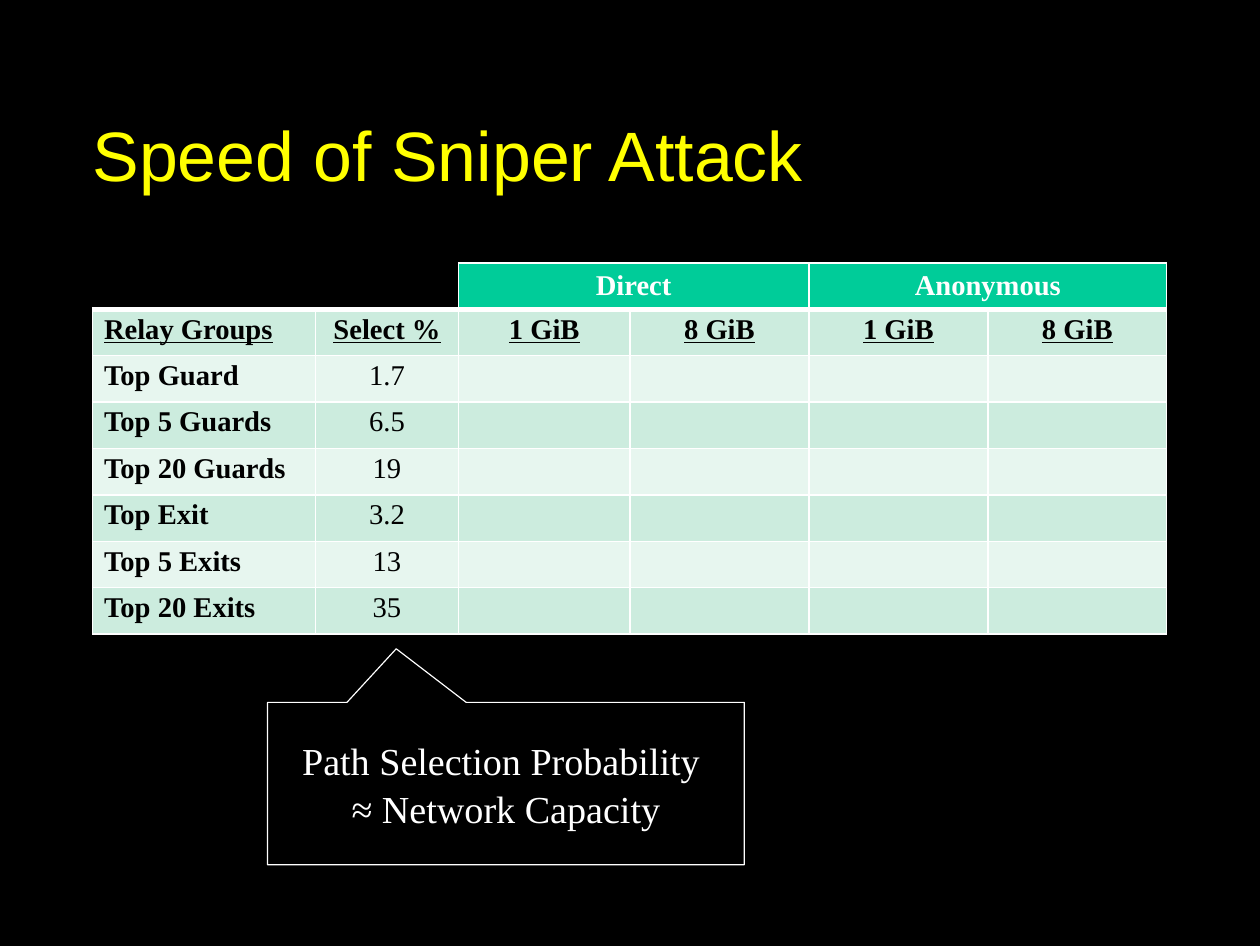
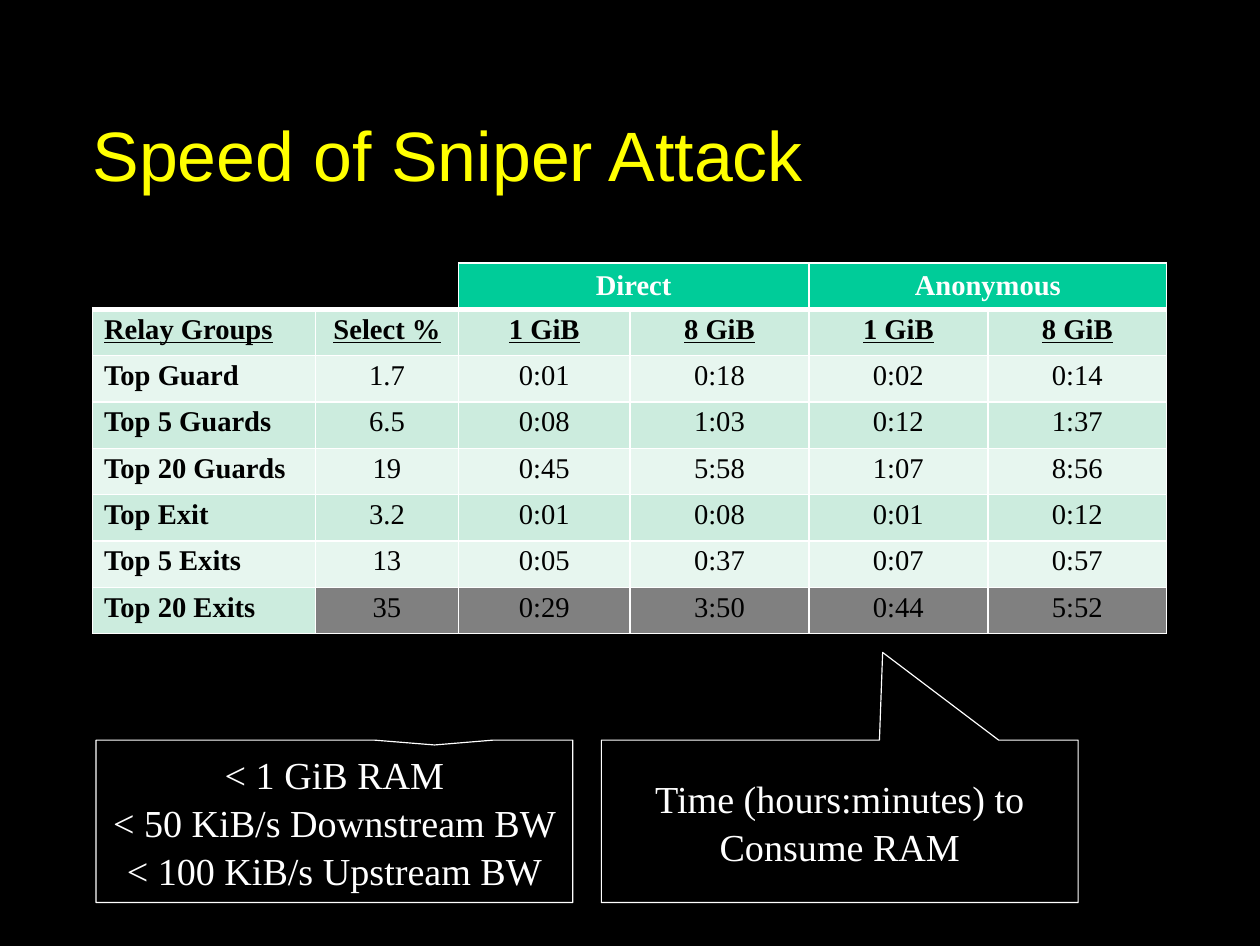
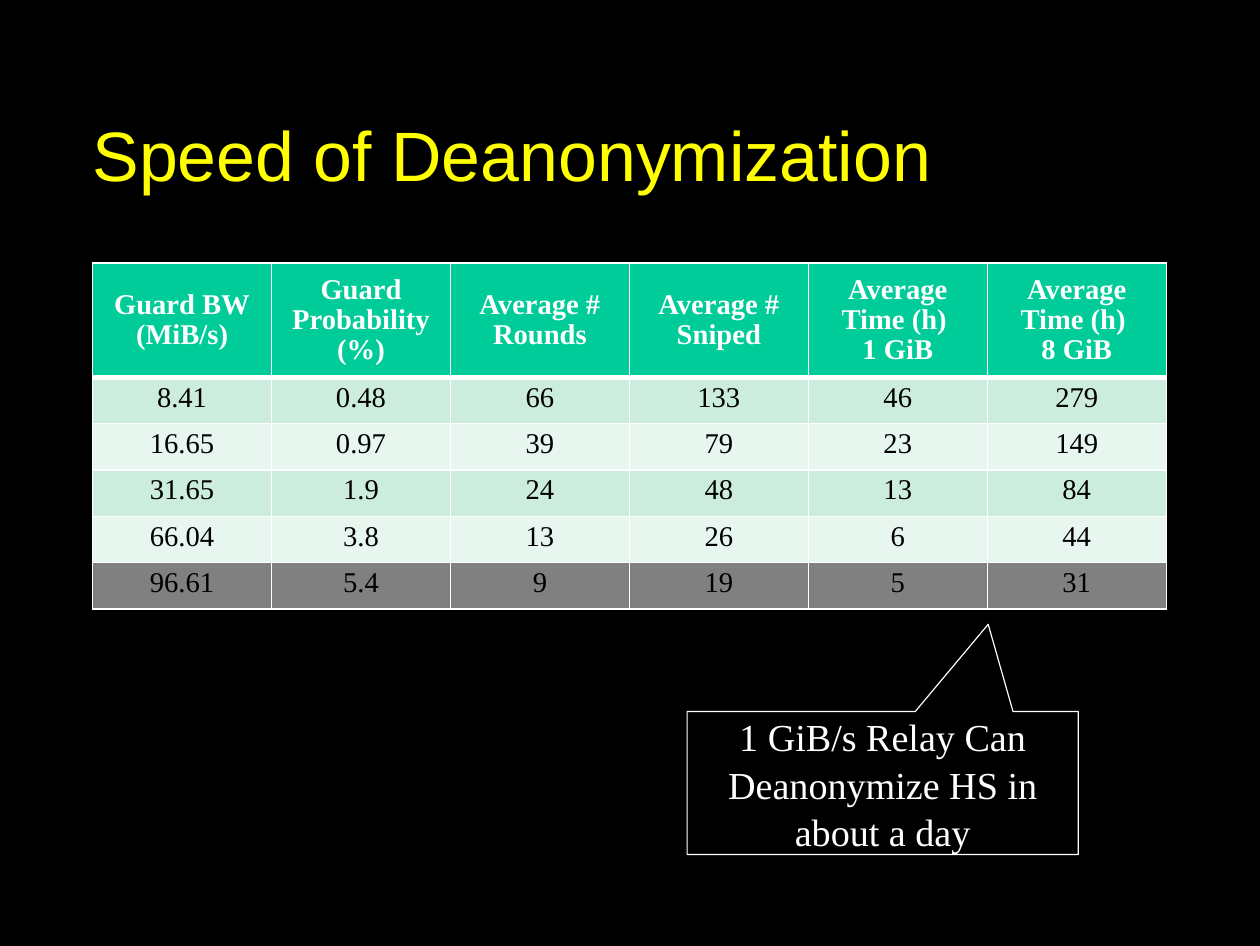
"""Build three slides on the speed of the sniper attack."""
import pptx
import pptx.util
import pptx.dml.color
import pptx.enum.shapes
import pptx.enum.text
import pptx.oxml

RGB = pptx.dml.color.RGBColor
BLACK = RGB(0x00, 0x00, 0x00)
WHITE = RGB(0xFF, 0xFF, 0xFF)
YELLOW = RGB(0xFF, 0xFF, 0x00)
GREEN = RGB(0x00, 0xCC, 0x99)
MINT = RGB(0xCC, 0xEC, 0xDE)
PALE = RGB(0xE7, 0xF6, 0xEF)
GREY = RGB(0x80, 0x80, 0x80)

SCALE = 4572
LEFT, TOP = 162, 460
ROW = 81
SANS, SERIF = "Arial", "Times New Roman"
ALIGN = pptx.enum.text.PP_ALIGN
MIDDLE = pptx.enum.text.MSO_ANCHOR.MIDDLE

HEADS = [
    ["", "", "Direct", "", "Anonymous", ""],
    ["Relay Groups", "Select %", "1 GiB", "8 GiB", "1 GiB", "8 GiB"],
]
GROUPS = [
    ["Top Guard", "1.7", "0:01", "0:18", "0:02", "0:14"],
    ["Top 5 Guards", "6.5", "0:08", "1:03", "0:12", "1:37"],
    ["Top 20 Guards", "19", "0:45", "5:58", "1:07", "8:56"],
    ["Top Exit", "3.2", "0:01", "0:08", "0:01", "0:12"],
    ["Top 5 Exits", "13", "0:05", "0:37", "0:07", "0:57"],
    ["Top 20 Exits", "35", "0:29", "3:50", "0:44", "5:52"],
]
ROUNDS = [
    ["Guard BW\n(MiB/s)", "Guard Probability (%)", "Average # Rounds",
     "Average # Sniped", "Average Time (h) \n1 GiB", "Average Time (h) \n8 GiB"],
    ["8.41", "0.48", "66", "133", "46", "279"],
    ["16.65", "0.97", "39", "79", "23", "149"],
    ["31.65", "1.9", "24", "48", "13", "84"],
    ["66.04", "3.8", "13", "26", "6", "44"],
    ["96.61", "5.4", "9", "19", "5", "31"],
]
WIDE = [390, 250, 300, 313, 313, 313]
EVEN = [313] * 6


def px(*sizes):
    """Turn px lengths into EMU."""
    return [pptx.util.Emu(size * SCALE) for size in sizes]


def style(frame, font, size, color, align, space, bold=False, line=False):
    """Format every paragraph and run of a text frame."""
    for para in frame.paragraphs:
        para.alignment = align
        para.line_spacing = space
        for run in para.runs:
            run.font.name = font
            run.font.size = pptx.util.Pt(size)
            run.font.color.rgb = color
            run.font.bold = bold
            run.font.underline = line


def set_base(deck):
    """Set the slide size, backdrop and title place; return the layout."""
    deck.slide_width, deck.slide_height = px(2204, 1654)
    fill = deck.slide_master.background.fill
    fill.solid()
    fill.fore_color.rgb = BLACK
    layout = deck.slide_layouts[5]
    title = layout.placeholders[0]
    title.left, title.top, title.width, title.height = px(LEFT, 138, 1880, 274)
    return layout


def add_page(deck, layout, text):
    """Add a slide with its title."""
    slide = deck.slides.add_slide(layout)
    frame = slide.shapes.title.text_frame
    frame.text = text
    frame.auto_size = pptx.enum.text.MSO_AUTO_SIZE.NONE
    frame.vertical_anchor = MIDDLE
    frame.margin_left = frame.margin_right = 0
    frame.margin_top = frame.margin_bottom = 0
    style(frame, SANS, 44, YELLOW, ALIGN.LEFT, 0.95)
    return slide


def edge(cell, side, color, width):
    """Draw one border of a cell."""
    space = "http://schemas.openxmlformats.org/drawingml/2006/main"
    cell._tc.get_or_add_tcPr().append(pptx.oxml.parse_xml(
        f'<a:ln{side} xmlns:a="{space}" w="{pptx.util.Pt(width)}">'
        f'<a:solidFill><a:srgbClr val="{color}"/></a:solidFill></a:ln{side}>'))


def paint(cell, row, fill, dark):
    """Draw the borders and the fill; dark sides blend into the backdrop."""
    for side in "LRTB":
        thick = (row, side) in ((0, "B"), (1, "T"))
        edge(cell, side, BLACK if side in dark else WHITE, 3 if thick else 1)
    cell.fill.solid()
    cell.fill.fore_color.rgb = fill


def add_grid(slide, rows, widths, first, dim, groups=False):
    """Add a table whose last row is grey from column dim on."""
    last = len(rows) - 1
    high = first + ROW * last
    grid = slide.shapes.add_table(
        len(rows), len(widths), *px(LEFT, TOP, sum(widths), high)).table
    grid.first_row = grid.horz_banding = False
    for col, width in zip(grid.columns, px(*widths)):
        col.width = width
    for line, size in zip(grid.rows, px(first, *[ROW] * last)):
        line.height = size
    for r, texts in enumerate(rows):
        for c, text in enumerate(texts):
            cell = grid.cell(r, c)
            blank = groups and r == 0 and c < 2
            if blank:
                fill = BLACK
            elif r == 0:
                fill = GREEN
            elif r == last and c >= dim:
                fill = GREY
            else:
                fill = MINT if r % 2 else PALE
            dark = ("LTR" if c == 0 else "LT") if blank else ""
            paint(cell, r, fill, dark)
            cell.text_frame.text = text
            if r == 0:
                cell.vertical_anchor = MIDDLE
            label = groups and c == 0
            head = groups and r == 1
            style(cell.text_frame, SERIF, 18, BLACK if r else WHITE,
                  ALIGN.LEFT if label else ALIGN.CENTER, 0.95,
                  r == 0 or label or head, head)
    if groups:
        for c in (2, 4):
            grid.cell(0, c).merge(grid.cell(0, c + 1))


def add_note(slide, box, tip, text):
    """Add an outlined callout pointing at tip."""
    kind = pptx.enum.shapes.MSO_SHAPE.RECTANGULAR_CALLOUT
    note = slide.shapes.add_shape(kind, *px(*box))
    note.adjustments[0], note.adjustments[1] = tip
    note.shadow.inherit = False
    note.fill.background()
    note.line.color.rgb = WHITE
    note.line.width = pptx.util.Pt(0.75)
    frame = note.text_frame
    frame.word_wrap = True
    frame.vertical_anchor = MIDDLE
    frame.text = text
    style(frame, SERIF, 24, WHITE, ALIGN.CENTER, 1.04)


def main():
    """Build and save the deck."""
    deck = pptx.Presentation()
    layout = set_base(deck)

    slide = add_page(deck, layout, "Speed of Sniper Attack")
    shares = [row[:2] + [""] * 4 for row in GROUPS]
    add_grid(slide, HEADS + shares, WIDE, ROW, len(WIDE), groups=True)
    add_note(slide, (468, 1228, 834, 284), (-0.23, -0.83),
             "Path Selection Probability \n≈ Network Capacity")

    slide = add_page(deck, layout, "Speed of Sniper Attack")
    add_grid(slide, HEADS + GROUPS, WIDE, ROW, 1, groups=True)
    add_note(slide, (1052, 1294, 834, 284), (0.09, -1.04),
             "Time (hours:minutes) to Consume RAM")
    add_note(slide, (168, 1294, 834, 284), (0.21, -0.47),
             "< 1 GiB RAM\n< 50 KiB/s Downstream BW\n< 100 KiB/s Upstream BW")

    slide = add_page(deck, layout, "Speed of Deanonymization")
    add_grid(slide, ROUNDS, EVEN, 200, 0)
    add_note(slide, (1202, 1244, 684, 250), (0.27, -1.11),
             "1 GiB/s Relay Can Deanonymize HS in about a day")

    deck.save("out.pptx")


if __name__ == "__main__":
    main()
